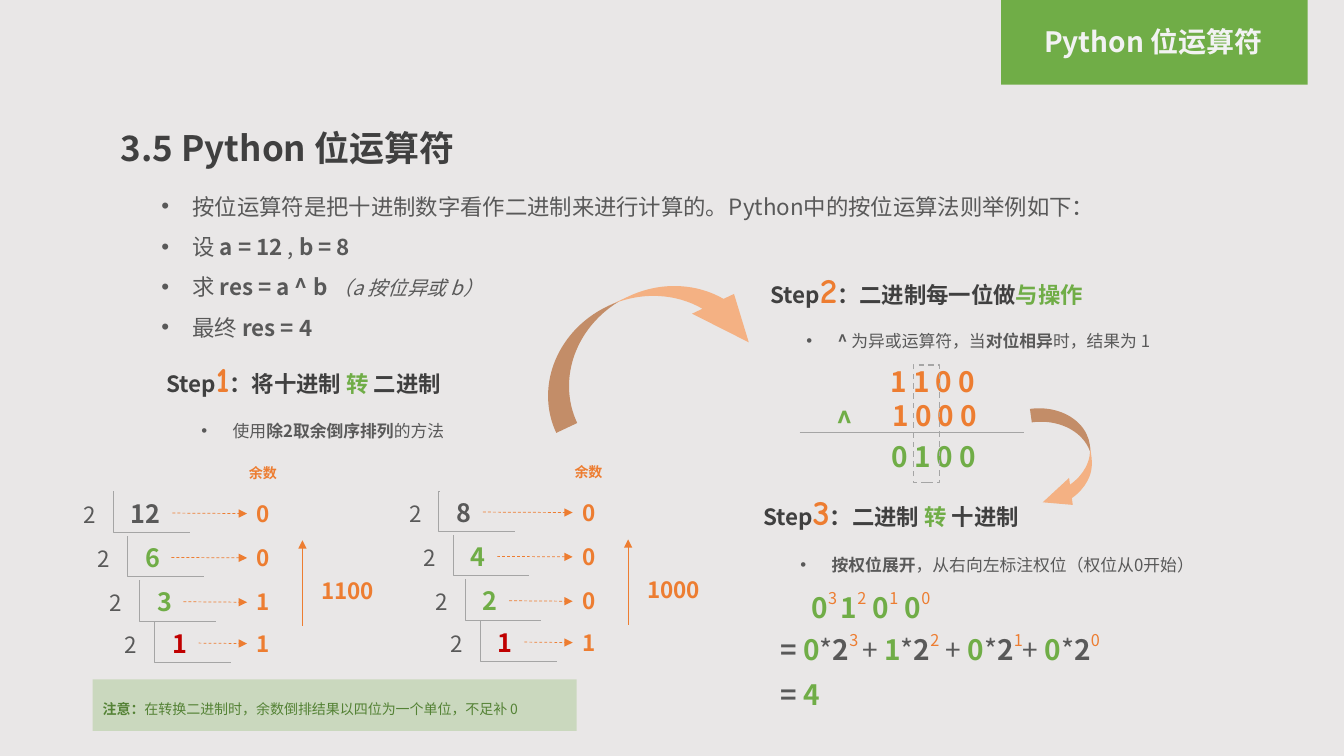
"""Build the slide on Python bitwise operators."""
import pptx
import pptx.util
import pptx.dml.color
import pptx.enum.dml
import pptx.enum.shapes
import pptx.enum.text
import pptx.oxml.ns
import lxml.etree

Inches, Pt = pptx.util.Inches, pptx.util.Pt
RGBColor = pptx.dml.color.RGBColor
SHAPE = pptx.enum.shapes.MSO_SHAPE
CONNECTOR = pptx.enum.shapes.MSO_CONNECTOR
DASH = pptx.enum.dml.MSO_LINE.DASH
ALIGN = pptx.enum.text.PP_ALIGN
ANCHOR = pptx.enum.text.MSO_ANCHOR
FIT = pptx.enum.text.MSO_AUTO_SIZE
qn = pptx.oxml.ns.qn

FONT = "Noto Sans CJK SC"
BACKGROUND = RGBColor(0xE9, 0xE7, 0xE7)
GREEN = RGBColor(0x70, 0xAD, 0x47)
DARK_GREEN = RGBColor(0x54, 0x82, 0x35)
ORANGE = RGBColor(0xED, 0x7D, 0x31)
PEACH = RGBColor(0xF4, 0xB1, 0x83)
RED = RGBColor(0xC0, 0x00, 0x00)
DARK = RGBColor(0x40, 0x40, 0x40)
GRAY = RGBColor(0x59, 0x59, 0x59)
LINE_GRAY = RGBColor(0xA5, 0xA5, 0xA5)
OFF_WHITE = RGBColor(0xF2, 0xF2, 0xF2)

PLAIN = {"color": GRAY}
BOLD = {"color": GRAY, "bold": True}
ITALIC = {"color": GRAY, "italic": True, "size": Pt(14)}
HEADING = {"color": DARK, "bold": True}
DIGIT = {"color": GREEN, "bold": True}
RESULT = {"color": ORANGE, "bold": True}
LAST = {"color": RED, "bold": True}
POWER = {"color": ORANGE, "baseline": 50}
STEP_NUMBER = {"color": ORANGE, "bold": True, "size": Pt(25), "name": "Comic Neue"}
HEADER = {"color": OFF_WHITE, "bold": True}
NOTE = {"color": DARK_GREEN}
NOTE_BOLD = {"color": DARK_GREEN, "bold": True}

TITLE = [("3.5 Python 位运算符", HEADING)]
INTRODUCTION = [
    [("按位运算符是把十进制数字看作二进制来进行计算的。Python中的按位运算法则举例如下：", PLAIN)],
    [("设 ", PLAIN), ("a = 12 ", BOLD), (", ", PLAIN), ("b = 8", BOLD)],
    [("求 ", PLAIN), ("res = a ^ b ", BOLD), ("（a 按位异或 b）", ITALIC)],
    [("最终 ", PLAIN), ("res = 4", BOLD)],
]
STEPS = [
    ("1", (1.55, 3.5, 4.62, 0.52),
     [("：将十进制 ", HEADING), ("转 ", DIGIT), ("二进制", HEADING)],
     (1.9, 4.02, 3.14, 0.4),
     [("使用", PLAIN), ("除2取余倒序排列", BOLD), ("的方法", PLAIN)]),
    ("2", (7.54, 2.61, 4.62, 0.52),
     [("：二进制每一位做", HEADING), ("与操作", DIGIT)],
     (7.9, 3.13, 5.08, 0.4),
     [("^ ", BOLD), ("为异或运算符，当", PLAIN), ("对位相异", BOLD), ("时，结果为 1", PLAIN)]),
    ("3", (7.47, 4.82, 4.62, 0.52),
     [("：二进制 ", HEADING), ("转 ", DIGIT), ("十进制", HEADING)],
     (7.84, 5.35, 5.08, 0.4),
     [("按权位展开", BOLD), ("，从右向左标注权位（权位从0开始）", PLAIN)]),
]
DIVISIONS = [
    (0, 0, [("12", "0"), ("6", "0"), ("3", "1"), ("1", "1")], "1100"),
    (3.23, -0.01, [("8", "0"), ("4", "0"), ("2", "0"), ("1", "1")], "1000"),
]
CORNERS = [(1.13, 4.88), (1.27, 5.32), (1.39, 5.76), (1.54, 6.17)]
QUOTIENT_FORMATS = [BOLD, DIGIT, DIGIT, LAST]
TERMS = [("0", "3 ", "+"), ("1", "2", " +"), ("0", "1", "+"), ("0", "0", "")]
EXPANSION = [("=", BOLD)]
for digit, power, plus in TERMS:
    EXPANSION += [(" " + digit, DIGIT), ("*", PLAIN), ("2", BOLD), (power, POWER), (plus, PLAIN)]
CALCULATIONS = [
    ((8.73, 3.57, 1.15, 0.44), [("1 1 0 0", RESULT)]),
    ((8.75, 3.9, 1.15, 0.44), [("1 0 0 0", RESULT)]),
    ((8.2, 3.96, 0.42, 0.44), [("^", DIGIT)]),
    ((8.74, 4.31, 1.15, 0.44), [("0 1 0 0", DIGIT)]),
    ((7.95, 5.79, 1.65, 0.44),
     [("0", DIGIT), ("3 ", POWER), ("1", DIGIT), ("2", POWER),
      (" 0", DIGIT), ("1", POWER), (" 0", DIGIT), ("0", POWER)]),
    ((7.64, 6.2, 3.89, 0.44), EXPANSION[:-1]),
    ((7.64, 6.67, 0.67, 0.44), [("= ", BOLD), ("4", DIGIT)]),
]
CURVED_ARROWS = [((5.21, 2.92, 2.34, 0.92), 334.8), ((10.02, 4.28, 1.07, 0.54), 82.2)]
REMINDER = [("注意：", NOTE_BOLD), ("在转换二进制时，余数倒排结果以四位为一个单位，不足补 0", NOTE)]


def write(paragraph, runs, size, **formats):
    for name, value in formats.items():
        setattr(paragraph, name, value)
    for text, run_formats in runs:
        run = paragraph.add_run()
        run.text = text
        values = {"name": FONT, "size": Pt(size), "bold": False, **run_formats}
        run.font.color.rgb = values.pop("color")
        properties = run.font._element
        if "baseline" in values:
            properties.set("baseline", str(values.pop("baseline") * 1000))
        for name, value in values.items():
            setattr(run.font, name, value)
        lxml.etree.SubElement(properties, qn("a:ea"), typeface=values["name"])


def add_bullet(paragraph):
    properties = paragraph._p.get_or_add_pPr()
    properties.set("marL", str(Inches(0.31)))
    properties.set("indent", str(Inches(-0.31)))
    lxml.etree.SubElement(properties, qn("a:buFont"), typeface="Arial")
    lxml.etree.SubElement(properties, qn("a:buChar"), char="•")


def place(shape, box):
    for name, value in zip(("left", "top", "width", "height"), box):
        setattr(shape, name, Inches(value))


def add_text(slide, box, runs, size, wrap=False, **formats):
    shape = slide.shapes.add_textbox(*map(Inches, box))
    shape.text_frame.word_wrap = wrap
    shape.text_frame.auto_size = FIT.SHAPE_TO_FIT_TEXT
    write(shape.text_frame.paragraphs[0], runs, size, **formats)
    return shape


def add_box(slide, kind, box, fill=None):
    shape = slide.shapes.add_shape(kind, *map(Inches, box))
    shape.shadow.inherit = False
    shape.line.fill.background()
    if fill is None:
        shape.fill.background()
    else:
        shape.fill.solid()
        shape.fill.fore_color.rgb = fill
    return shape


def add_line(slide, ends, color, kind=CONNECTOR.STRAIGHT, arrow=False, dash=None):
    line = slide.shapes.add_connector(kind, *map(Inches, ends))
    line.line.color.rgb = color
    line.line.width = Pt(0.5)
    line.line.dash_style = dash
    if arrow:
        lxml.etree.SubElement(line.line._get_or_add_ln(), qn("a:tailEnd"), type="triangle")
    lxml.etree.SubElement(line._element.spPr, qn("a:effectLst"))
    return line


def add_division(slide, shift, drop, rows, result):
    add_text(slide, (2.37 + shift, 4.56 + drop, 0.48, 0.27), [("余数", RESULT)], 10)
    for (x, y), (quotient, remainder), formats in zip(CORNERS, rows, QUOTIENT_FORMATS):
        x, y = x + shift, y + drop
        width = 0.21 + 0.15 * len(quotient)
        dividend = add_text(slide, (x + 0.07, y + 0.01, width, 0.4), [(quotient, formats)], 18)
        bracket = add_line(slide, (x, y, x + 0.75, y + 0.4), LINE_GRAY, CONNECTOR.ELBOW)
        guides = bracket._element.spPr.find(qn("a:prstGeom")).get_or_add_avLst()
        lxml.etree.SubElement(guides, qn("a:gd"), name="adj1", fmla="val -1100")
        add_text(slide, (x - 0.4, y + 0.04, 0.34, 0.37), [("2", PLAIN)], 16)
        rest = add_text(slide, (2.45 + shift, y + 0.03, 0.34, 0.37), [(remainder, RESULT)], 16)
        arrow = add_line(slide, (x, y, x + 1, y), ORANGE, arrow=True, dash=DASH)
        arrow.begin_connect(dividend, 3)
        arrow.end_connect(rest, 1)
    add_line(slide, (3 + shift, 6.21 + drop, 3 + shift, 5.36 + drop), ORANGE, arrow=True)
    add_text(slide, (3.09 + shift, 5.68 + drop, 0.76, 0.37), [(result, RESULT)], 16)


def main():
    presentation = pptx.Presentation()
    presentation.slide_width, presentation.slide_height = Inches(13.33), Inches(7.5)
    slide = presentation.slides.add_slide(presentation.slide_layouts[1])
    slide.background.fill.solid()
    slide.background.fill.fore_color.rgb = BACKGROUND
    add_box(slide, SHAPE.RECTANGLE, (9.93, 0, 3.04, 0.84), GREEN)
    add_text(slide, (9.94, 0.23, 3, 0.42), [("Python 位运算符", HEADER)], 20, True,
             alignment=ALIGN.CENTER, line_spacing=0.9)

    title, body = slide.shapes.title, slide.placeholders[1]
    place(title, (1.1, 1, 9.71, 0.73))
    place(body, (1.5, 1.73, 10.33, 1.72))
    for placeholder in (title, body):
        placeholder.text_frame.vertical_anchor = ANCHOR.TOP
        placeholder.text_frame.auto_size = FIT.NONE
    write(title.text_frame.paragraphs[0], TITLE, 25, alignment=ALIGN.LEFT, line_spacing=1.5)
    for index, runs in enumerate(INTRODUCTION):
        frame = body.text_frame
        paragraph = frame.add_paragraph() if index else frame.paragraphs[0]
        write(paragraph, runs, 16, line_spacing=1.5, space_before=Pt(0))
        add_bullet(paragraph)

    for number, heading_box, heading, detail_box, detail in STEPS:
        runs = [("Step", HEADING), (number, STEP_NUMBER)] + heading
        add_text(slide, heading_box, runs, 16, True)
        shape = add_text(slide, detail_box, detail, 12, True, line_spacing=1.5)
        add_bullet(shape.text_frame.paragraphs[0])
    for division in DIVISIONS:
        add_division(slide, *division)
    for box, runs in CALCULATIONS:
        add_text(slide, box, runs, 20)
    add_line(slide, (7.93, 4.29, 10.16, 4.29), LINE_GRAY)

    for box, rotation in CURVED_ARROWS:
        arrow = add_box(slide, SHAPE.CURVED_DOWN_ARROW, box, PEACH)
        arrow.rotation = rotation
        arrow.adjustments[2] = 0.54
    column = add_box(slide, SHAPE.RECTANGLE, (9.06, 3.62, 0.26, 1.17))
    for name, value in {"width": Pt(1), "dash_style": DASH}.items():
        setattr(column.line, name, value)
    column.line.color.rgb = LINE_GRAY

    reminder = add_box(slide, SHAPE.RECTANGLE, (0.92, 6.74, 4.8, 0.51), GREEN)
    color = reminder._element.spPr.find(qn("a:solidFill"))[0]
    lxml.etree.SubElement(color, qn("a:alpha"), val="25000")
    reminder.text_frame.vertical_anchor = ANCHOR.MIDDLE
    write(reminder.text_frame.paragraphs[0], REMINDER, 10, alignment=ALIGN.LEFT, line_spacing=1.5)
    presentation.save("out.pptx")


if __name__ == "__main__":
    main()
